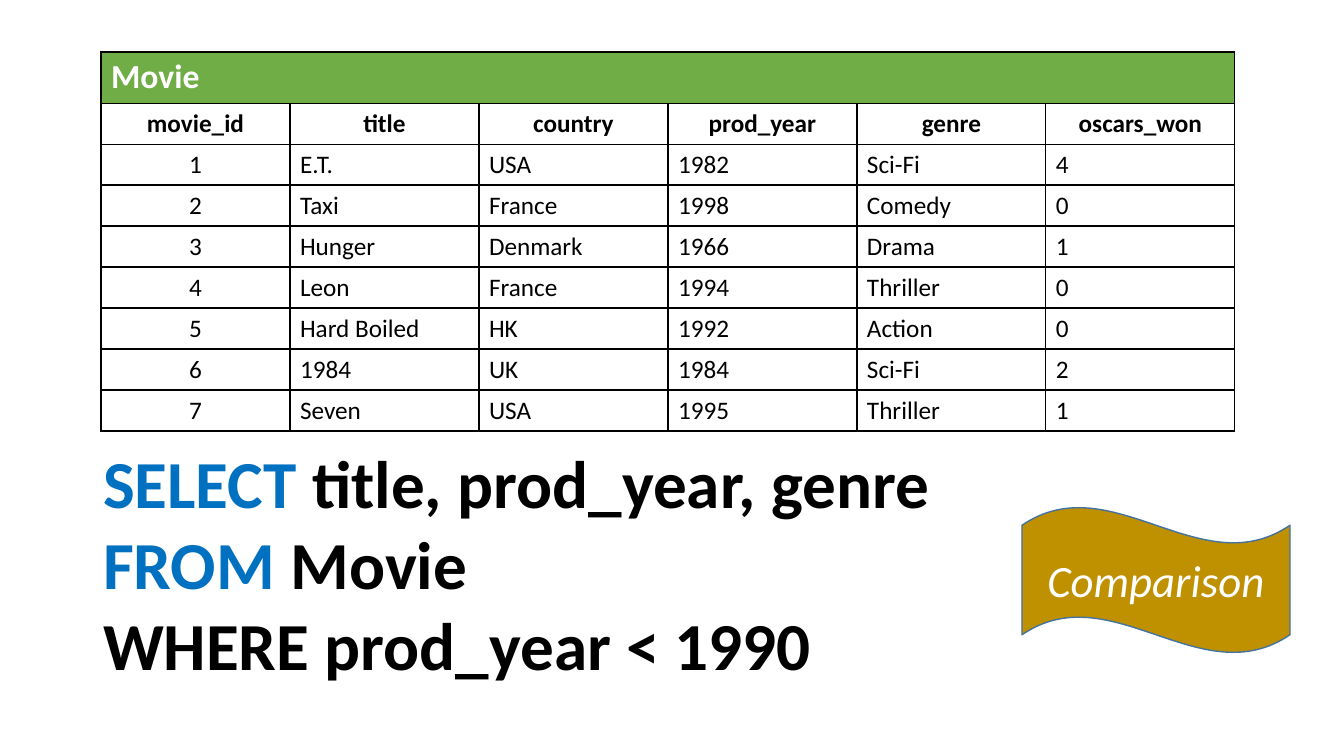
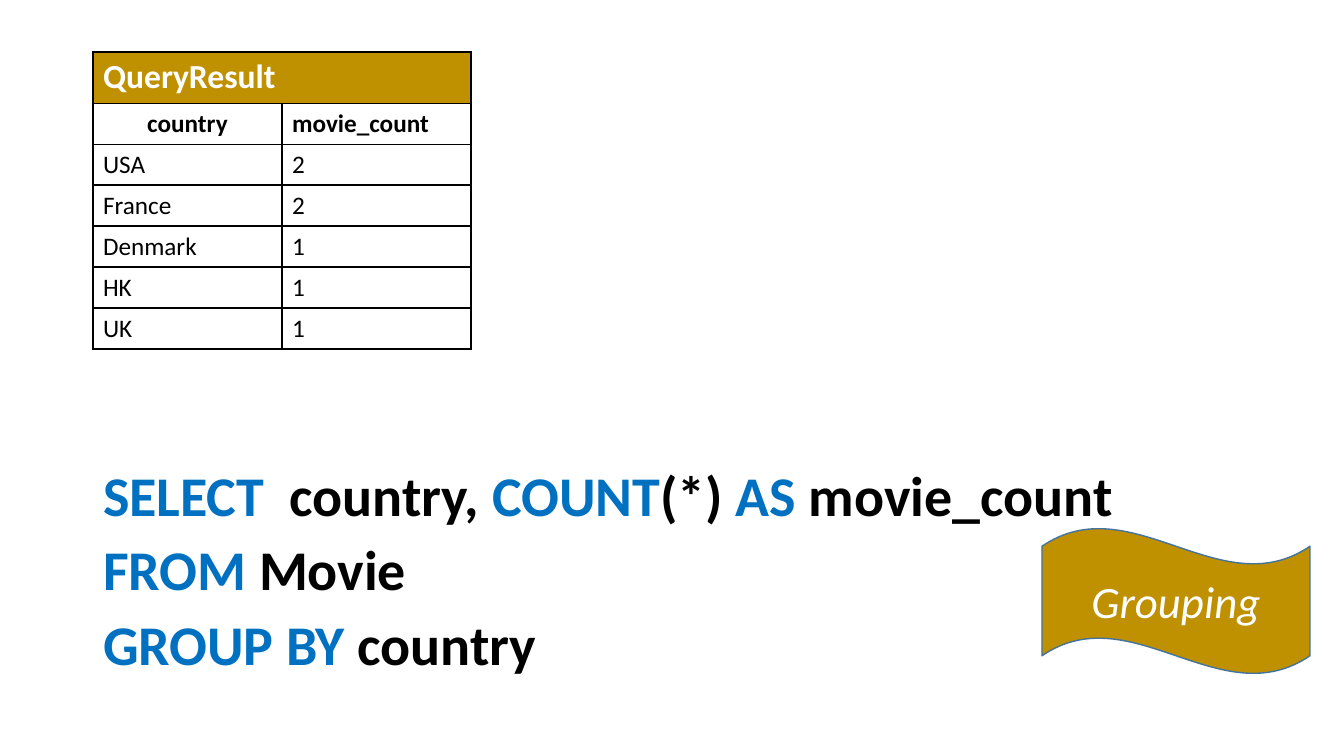
from lxml.etree import SubElement
from pptx import Presentation
from pptx.dml.color import RGBColor
from pptx.enum.shapes import MSO_SHAPE as Shape
from pptx.enum.text import MSO_ANCHOR as Anchor, MSO_AUTO_SIZE as AutoSize, PP_ALIGN as Align
from pptx.oxml.ns import qn
from pptx.util import Emu, Pt

COLORS = {
    "text": "000000",
    "light": "FFFFFF",
    "keyword": "0070C0",
    "source": "70AD47",
    "result": "BF9000",
    "outline": "43739E",
    "grid": "000000",
}
FONT = "Calibri"
PIXELS_PER_INCH = 100.8
SLIDE_SIZE = 1344, 756
COLUMN_WIDTH, BANNER_HEIGHT, ROW_HEIGHT = 189, 51, 41
TABLE_TOP = 52
WAVE_SIZE = 268, 146

MOVIES = [
    ("1", "E.T.", "USA", "1982", "Sci-Fi", "4"),
    ("2", "Taxi", "France", "1998", "Comedy", "0"),
    ("3", "Hunger", "Denmark", "1966", "Drama", "1"),
    ("4", "Leon", "France", "1994", "Thriller", "0"),
    ("5", "Hard Boiled", "HK", "1992", "Action", "0"),
    ("6", "1984", "UK", "1984", "Sci-Fi", "2"),
    ("7", "Seven", "USA", "1995", "Thriller", "1"),
]
COUNTRY_COUNTS = [("USA", "2"), ("France", "2"), ("Denmark", "1"), ("HK", "1"), ("UK", "1")]


def px(length):
    return Emu(round(length * 914400 / PIXELS_PER_INCH))


def rgb(name):
    return RGBColor.from_string(COLORS[name])


def write(paragraph, text, size=18, color="text", bold=False, italic=False, align=Align.LEFT):
    paragraph.alignment = align
    run = paragraph.add_run()
    run.text = text
    font = run.font
    font.name, font.size, font.bold, font.italic = FONT, Pt(size), bold, italic
    font.color.rgb = rgb(color)


def draw_borders(cell):
    properties = cell._tc.get_or_add_tcPr()
    for side in ("lnL", "lnR", "lnT", "lnB"):
        line = SubElement(properties, qn(f"a:{side}"), w=str(Pt(1)))
        fill = SubElement(line, qn("a:solidFill"))
        SubElement(fill, qn("a:srgbClr"), val=COLORS["grid"])


class Deck:
    def __init__(self):
        self.presentation = Presentation()
        self.presentation.slide_width, self.presentation.slide_height = map(px, SLIDE_SIZE)
        self.slide = None

    def add_slide(self):
        self.slide = self.presentation.slides.add_slide(self.presentation.slide_layouts[1])
        title = self.slide.shapes.title._element
        title.getparent().remove(title)

    def add_query(self, top, height, size, gap, lines):
        """Fill the body placeholder; each line is a list of (text, color) pairs."""
        body = self.slide.placeholders[1]
        body.left, body.top, body.width, body.height = map(px, (93, top, 1159, height))
        frame = body.text_frame
        frame.word_wrap, frame.auto_size = True, AutoSize.NONE
        frame.vertical_anchor = Anchor.TOP
        for index, parts in enumerate(lines):
            paragraph = frame.add_paragraph() if index else frame.paragraphs[0]
            properties = paragraph._p.get_or_add_pPr()
            properties.set("marL", "0")
            properties.set("indent", "0")
            SubElement(properties, qn("a:buNone"))
            paragraph.line_spacing = 0.9
            paragraph.space_before = Pt(gap if index else 0)
            for text, color in parts:
                write(paragraph, text, size=size, color=color, bold=True)

    def add_table(self, left, name, banner_color, headings, rows, centered):
        """Draw a named table; centered holds the (heading, data) columns to centre."""
        lines = [headings, *rows]
        height = BANNER_HEIGHT + ROW_HEIGHT * len(lines)
        frame = self.slide.shapes.add_table(
            len(lines) + 1, len(headings), px(left), px(TABLE_TOP),
            px(COLUMN_WIDTH * len(headings)), px(height))
        table = frame.table
        table.horz_banding = False
        for column in table.columns:
            column.width = px(COLUMN_WIDTH)
        for index, row in enumerate(table.rows):
            row.height = px(ROW_HEIGHT if index else BANNER_HEIGHT)
        for cell in table.iter_cells():
            draw_borders(cell)
            cell.fill.background()

        banner = table.cell(0, 0)
        banner.merge(table.cell(0, len(headings) - 1))
        banner.fill.solid()
        banner.fill.fore_color.rgb = rgb(banner_color)
        write(banner.text_frame.paragraphs[0], name, size=24, color="light", bold=True)

        for row_index, values in enumerate(lines, 1):
            is_heading = row_index == 1
            centered_columns = centered[0 if is_heading else 1]
            for column_index, value in enumerate(values):
                paragraph = table.cell(row_index, column_index).text_frame.paragraphs[0]
                align = Align.CENTER if column_index in centered_columns else Align.LEFT
                write(paragraph, value, bold=is_heading, align=align)

    def add_wave(self, left, top, text):
        wave = self.slide.shapes.add_shape(Shape.WAVE, *map(px, (left, top, *WAVE_SIZE)))
        wave.shadow.inherit = False
        wave.fill.solid()
        wave.fill.fore_color.rgb = rgb("result")
        wave.line.color.rgb = rgb("outline")
        wave.line.width = Pt(1)
        frame = wave.text_frame
        frame.word_wrap = True
        frame.vertical_anchor = Anchor.MIDDLE
        write(frame.paragraphs[0], text, size=32, color="light", italic=True, align=Align.CENTER)


def add_comparison_slide(deck):
    headings = ("movie_id", "title", "country", "prod_year", "genre", "oscars_won")
    deck.add_slide()
    deck.add_query(445, 293, 48, 6, [
        [("SELECT ", "keyword"), ("title, prod_year, genre", "text")],
        [("FROM", "keyword"), (" Movie", "text")],
        [("WHERE prod_year < 1990", "text")],
    ])
    deck.add_table(101, "Movie", "source", headings, MOVIES, (range(len(headings)), [0]))
    deck.add_wave(1022, 507, "Comparison")


def add_grouping_slide(deck):
    deck.add_slide()
    deck.add_query(463, 268, 40, 10, [
        [("SELECT ", "keyword"), (" country, ", "text"), ("COUNT", "keyword"),
         ("(*) ", "text"), ("AS", "keyword"), (" movie_count", "text")],
        [("FROM", "keyword"), (" Movie", "text")],
        [("GROUP BY ", "keyword"), ("country", "text")],
    ])
    deck.add_table(93, "QueryResult", "result", ("country", "movie_count"),
                   COUNTRY_COUNTS, ([0], []))
    deck.add_wave(1042, 528, "Grouping")


def main():
    deck = Deck()
    add_comparison_slide(deck)
    add_grouping_slide(deck)
    deck.presentation.save("out.pptx")


if __name__ == "__main__":
    main()
